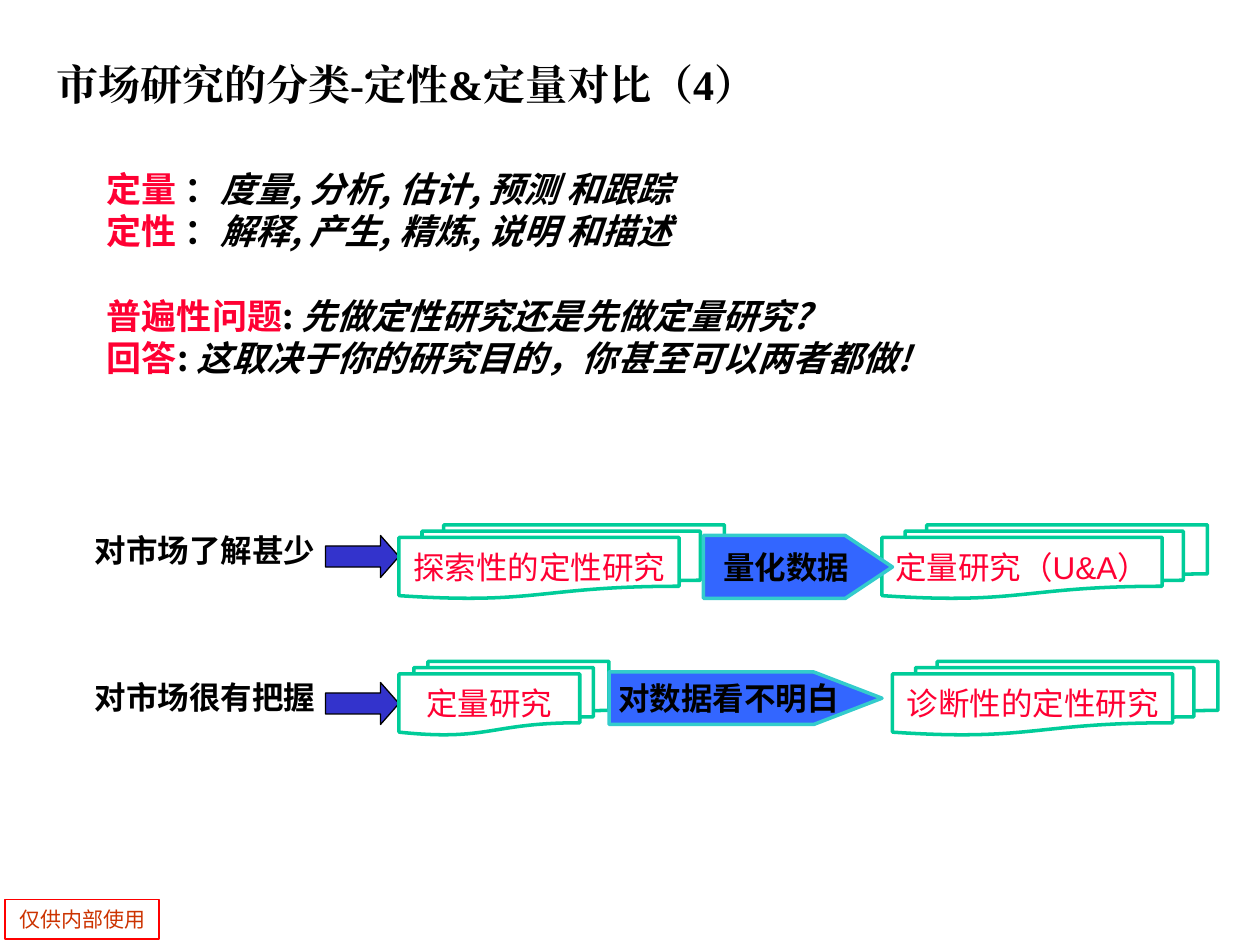
"""Build the slide comparing qualitative and quantitative market research."""
from lxml.etree import SubElement
from pptx import Presentation
from pptx.dml.color import RGBColor
from pptx.enum.shapes import MSO_SHAPE as Shape
from pptx.enum.text import MSO_ANCHOR as Anchor, PP_ALIGN as Align
from pptx.oxml.ns import qn
from pptx.util import Pt

COLORS = {
    "black": "000000", "red": "FF0033", "green": "00CC99", "teal": "33CCCC",
    "blue": "3366FF", "indigo": "3333CC", "frame": "FF0000", "rust": "CC3300",
}
SANS, ARIAL, SERIF = "Noto Sans CJK SC", "Arial", "Times New Roman"

TITLE = "市场研究的分类-定性&定量对比（4）"
FOOTER = "仅供内部使用"
STATEMENTS = [
    (92, 588, [("定量", " ：", "度量, 分析, 估计, 预测 和跟踪"),
               ("定性", " ：", "解释, 产生, 精炼, 说明 和描述")]),
    (165, 600, [("普遍性问题", ": ", "先做定性研究还是先做定量研究?"),
                ("回答", ": ", "这取决于你的研究目的，你甚至可以两者都做!")]),
]
FLOWS = [
    {"top": 300, "label": ("对市场了解甚少", 300), "arrow": 306,
     "documents": [("探索性的定性研究", 228, 186), ("定量研究（U&A）", 504, 186)],
     "link": ("量化数据", 402, 306, 108, 36, 0.75)},
    {"top": 378, "label": ("对市场很有把握", 384), "arrow": 390,
     "documents": [("定量研究", 228, 120), ("诊断性的定性研究", 510, 186)],
     "link": ("对数据看不明白", 348, 384, 156, 30, 1.3)},
]


def color(name):
    return RGBColor.from_string(COLORS[name])


def add_span(para, text, size, font, tone, bold=False, italic=False):
    span = para.add_run()
    span.text = text
    span.font.size, span.font.name = Pt(size), font
    span.font.bold, span.font.italic = bold, italic
    span.font.color.rgb = color(tone)
    SubElement(span._r.get_or_add_rPr(), qn("a:ea"), typeface=font)


def add_text_box(slide, left, top, width, height):
    box = slide.shapes.add_textbox(Pt(left), Pt(top), Pt(width), Pt(height))
    box.text_frame.word_wrap = True
    return box.text_frame


def add_figure(slide, kind, place, line, weight, fill=None):
    figure = slide.shapes.add_shape(kind, *map(Pt, place))
    figure.shadow.inherit = False
    figure.line.color.rgb, figure.line.width = color(line), Pt(weight)
    if fill:
        figure.fill.solid()
        figure.fill.fore_color.rgb = color(fill)
    else:
        figure.fill.background()
    return figure


def add_caption(figure, text, size, font, tone, bold=False):
    frame = figure.text_frame
    frame.word_wrap, frame.vertical_anchor = False, Anchor.MIDDLE
    para = frame.paragraphs[0]
    para.alignment = Align.CENTER
    add_span(para, text, size, font, tone, bold)


def add_statements(slide, top, width, lines):
    frame = add_text_box(slide, 54, top, width, 56)
    for index, (term, colon, detail) in enumerate(lines):
        para = frame.add_paragraph() if index else frame.paragraphs[0]
        para.line_spacing = Pt(24)
        add_span(para, term, 20, SANS, "red", True)
        add_span(para, colon, 20, SANS, "black", True)
        add_span(para, detail, 20, SANS, "black", True, True)


def add_flow(slide, flow):
    text, top = flow["label"]
    para = add_text_box(slide, 24, top, 186, 29).paragraphs[0]
    para.alignment = Align.CENTER
    add_span(para, text, 18, ARIAL, "black", True)

    arrow = add_figure(slide, Shape.RIGHT_ARROW, (186, flow["arrow"], 42, 24),
                       "black", 0.75, "indigo")
    arrow.adjustments[1] = 0.44

    for text, left, width in flow["documents"]:
        document = add_figure(slide, Shape.FLOWCHART_MULTIDOCUMENT,
                              (left, flow["top"], width, 42), "green", 2)
        add_caption(document, text, 18, ARIAL, "red")

    text, *place, point = flow["link"]
    link = add_figure(slide, Shape.PENTAGON, place, "teal", 2, "blue")
    link.adjustments[0] = point
    add_caption(link, text, 18, ARIAL, "black", True)


def main():
    deck = Presentation()
    deck.slide_width, deck.slide_height = Pt(720), Pt(540)
    slide = deck.slides.add_slide(deck.slide_layouts[6])

    footer = add_figure(slide, Shape.RECTANGLE, (3, 514, 88, 22.5), "frame", 1)
    add_caption(footer, FOOTER, 12, SANS, "rust")

    title = add_text_box(slide, 25, 15, 680, 66)
    title.vertical_anchor = Anchor.MIDDLE
    add_span(title.paragraphs[0], TITLE, 24, SERIF, "black", True)

    for top, width, lines in STATEMENTS:
        add_statements(slide, top, width, lines)
    for flow in FLOWS:
        add_flow(slide, flow)
    deck.save("out.pptx")


if __name__ == "__main__":
    main()
